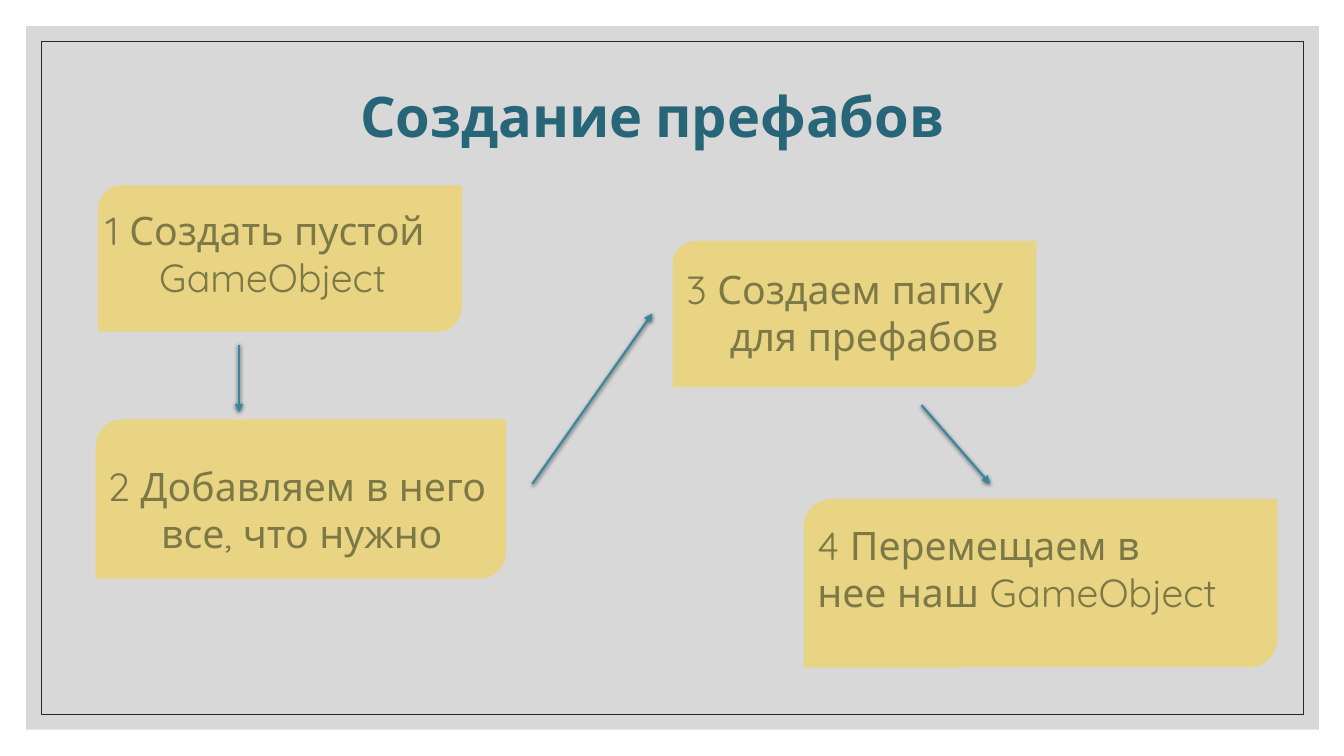
from lxml import etree
from pptx import Presentation
from pptx import util as u
from pptx.dml.color import RGBColor
from pptx.enum import shapes, text
from pptx.oxml.ns import qn

NAVY, YELLOW, TEAL = "002060", "F8D22F", "3488A0"

# card box, text offset and width, lines, indent of the second line
STEPS = [
    ((0.97, 1.84, 3.61, 1.45), (-0.02, 0.16, 4.09),
     ("1 Создать пустой", "GameObject"), 0.53),
    ((0.95, 4.16, 4.07, 1.58), (0.02, 0.38, 4.09),
     ("2 Добавляем в него", "все, что нужно"), 0.53),
    ((6.67, 2.39, 3.61, 1.45), (0.04, 0.19, 3.74),
     ("3 Создаем папку", "для префабов"), 0.43),
    ((7.97, 4.95, 4.7, 1.67), (0.04, 0.17, 4.66),
     ("4 Перемещаем в", "нее наш GameObject"), 0),
]
ARROWS = [
    ((2.37, 3.42), (2.37, 4.09)),
    ((5.28, 4.8), (6.47, 3.11)),
    ((9.14, 4.02), (9.82, 4.8)),
]


def color(value):
    return RGBColor.from_string(value)


def inches(values):
    return [u.Inches(v) for v in values]


def add_shape(slide, kind, box, fill=None, alpha=100, line=None):
    sp = slide.shapes.add_shape(kind, *inches(box))
    sp.shadow.inherit = False
    if fill:
        sp.fill.solid()
        sp.fill.fore_color.rgb = color(fill)
        clr = sp.fill._xPr.find(".//" + qn("a:srgbClr"))
        etree.SubElement(clr, qn("a:alpha"), val=str(alpha * 1000))
    else:
        sp.fill.background()
    if line:
        sp.line.color.rgb = color(line)
        sp.line.width = u.Pt(0.5)
    else:
        sp.line.fill.background()
    return sp


def add_text(slide, box, lines, font, size, rgb, bold=False, indent=0,
             align=text.PP_ALIGN.LEFT, anchor=text.MSO_ANCHOR.TOP, spacing=1.0):
    """Write one paragraph per line; indent applies after the first line."""
    tf = slide.shapes.add_textbox(*inches(box)).text_frame
    tf.word_wrap = True
    tf.vertical_anchor = anchor
    for i, words in enumerate(lines):
        p = tf.add_paragraph() if i else tf.paragraphs[0]
        p.alignment, p.line_spacing = align, spacing
        if i and indent:
            p._p.get_or_add_pPr().set("marL", str(u.Inches(indent)))
        r = p.add_run()
        r.text = words
        r.font.name, r.font.size, r.font.bold = font, u.Pt(size), bold
        r.font.color.rgb = color(rgb)


def add_frame(slide, box):
    """Grey panel with a thin border set inside it."""
    x, y, w, h = box
    gap = 0.15
    add_shape(slide, shapes.MSO_SHAPE.RECTANGLE, box, "BFBFBF", 60)
    add_shape(slide, shapes.MSO_SHAPE.RECTANGLE,
              (x + gap, y + gap, w - 2 * gap, h - 2 * gap), line="262626")


def add_title(slide, box):
    add_text(slide, box, ["Создание префабов"], "Cabin", 40, "276678", bold=True,
             align=text.PP_ALIGN.CENTER, anchor=text.MSO_ANCHOR.MIDDLE, spacing=0.9)


def add_step(slide, box, text_place, lines, indent):
    """Text under a translucent card."""
    x, y, w, h = box
    dx, dy, width = text_place
    add_text(slide, (x + dx, y + dy, width, 1.78), lines, "Quicksand", 28, NAVY,
             indent=indent)
    add_shape(slide, shapes.MSO_SHAPE.ROUND_2_DIAG_RECTANGLE, box, YELLOW, 50)


def add_arrow(slide, start, end):
    cxn = slide.shapes.add_connector(shapes.MSO_CONNECTOR.STRAIGHT,
                                     *inches(start + end))
    cxn.line.color.rgb = color(TEAL)
    cxn.line.width = u.Pt(1.5)
    etree.SubElement(cxn.line._get_or_add_ln(), qn("a:tailEnd"), type="triangle")
    effects = etree.SubElement(cxn._element.spPr, qn("a:effectLst"))
    shadow = etree.SubElement(effects, qn("a:outerShdw"), blurRad=str(u.Pt(3)),
                              dist=str(u.Pt(1)), dir="5400000", rotWithShape="0")
    clr = etree.SubElement(shadow, qn("a:srgbClr"), val="000000")
    etree.SubElement(clr, qn("a:alpha"), val="63000")


def main():
    prs = Presentation()
    prs.slide_width, prs.slide_height = inches((13.33, 7.5))
    slide = prs.slides.add_slide(prs.slide_layouts[6])
    add_frame(slide, (0.26, 0.26, 12.82, 6.98))
    add_title(slide, (0.97, 0.35, 11, 1.67))
    for step in STEPS:
        add_step(slide, *step)
    for start, end in ARROWS:
        add_arrow(slide, start, end)
    prs.save("out.pptx")


if __name__ == "__main__":
    main()
